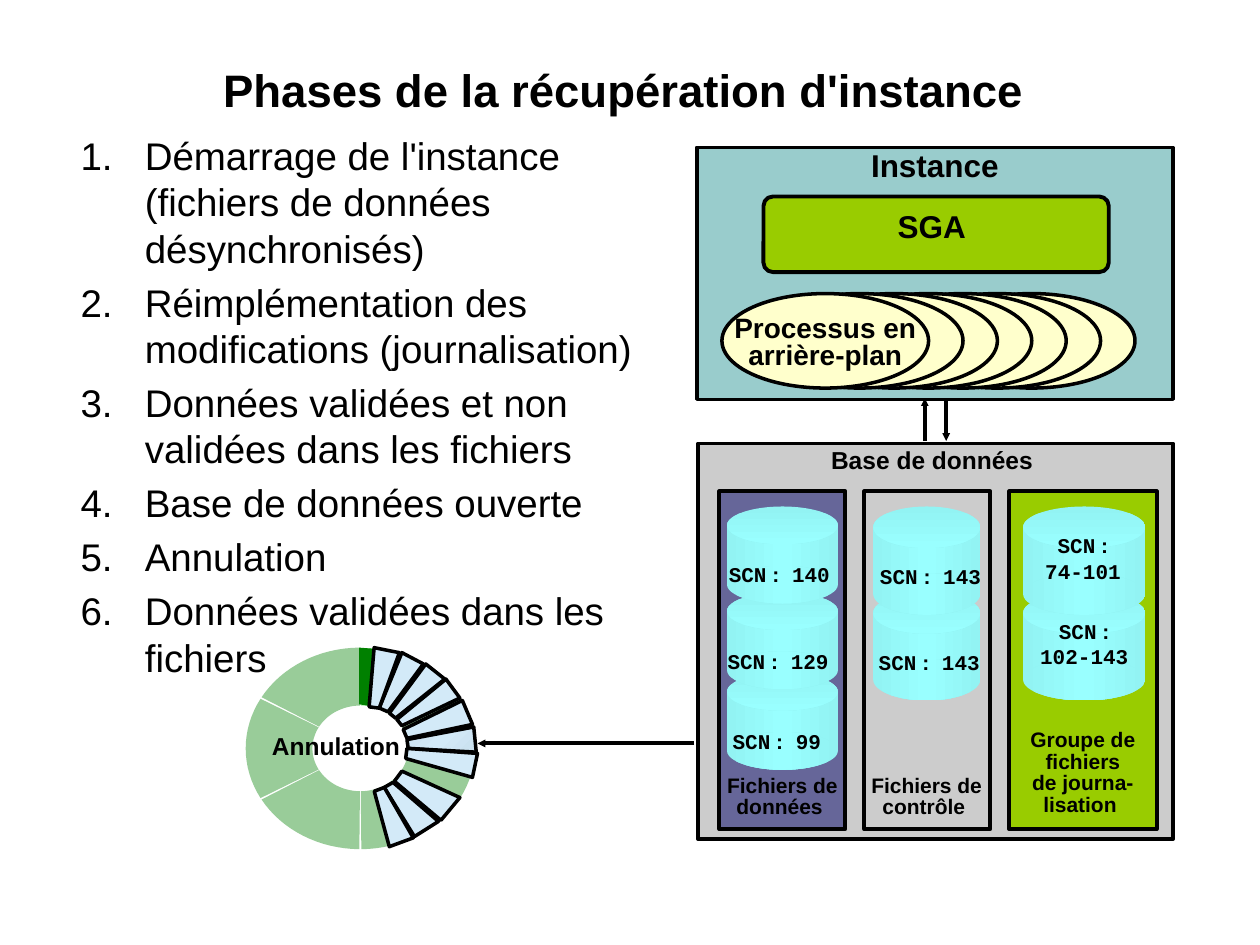
"""Build the slide on the phases of instance recovery."""
from copy import deepcopy
from math import cos, radians, sin

from pptx import Presentation
from pptx.dml.color import RGBColor
from pptx.enum.shapes import MSO_CONNECTOR, MSO_SHAPE as SHAPE
from pptx.enum.text import MSO_ANCHOR as ANCHOR, PP_ALIGN as ALIGN
from pptx.oxml.ns import qn
from pptx.util import Inches, Pt
from lxml.etree import SubElement

TITLE = "Phases de la récupération d'instance "
PHASES = [
    "Démarrage de l'instance (fichiers de données désynchronisés)",
    "Réimplémentation des modifications (journalisation)",
    "Données validées et non validées dans les fichiers",
    "Base de données ouverte",
    "Annulation",
    "Données validées dans les fichiers",
]
GREEN, LIME, GREY, CREAM, ICE = "99CC99", "99CC00", "CCCCCC", "FFFFCC", "D3EAF8"
SIDE_SHADE = ["92F3F3", "99FFFF", "92F3F3"]
LID_SHADE = ["92F3F3", "99FFFF"]
BLOCK_SHADE = ["C9DFED", ICE, "C9DFED"]
RING = dict(cx=2.86, cy=5.94, outer=(0.91, 0.8), inner=(0.38, 0.34))
SECTORS = [(180, GREEN), (120, GREEN), (60, GREEN), (0, GREEN),
           (300, ["C3F3C3", "CCFFCC"]), (240, GREEN)]
START_MARK = [(2.85, 5.14), (2.85, 5.59), (2.98, 5.61), (2.98, 5.15)]
BLOCKS = [
    ([(3.76, 5.77), (3.23, 5.87), (3.24, 5.94), (3.78, 5.97)], BLOCK_SHADE),
    ([(3.79, 5.98), (3.23, 5.94), (3.22, 6.02), (3.75, 6.17)], ICE),
    ([(3.65, 6.33), (3.19, 6.12), (3.13, 6.2), (3.5, 6.51)], ICE),
    ([(3.48, 6.52), (3.12, 6.21), (3.05, 6.25), (3.29, 6.64)], ICE),
    ([(3.28, 6.65), (3.05, 6.25), (2.97, 6.28), (3.09, 6.72)], ICE),
    ([(3.19, 5.18), (3.01, 5.62), (3.08, 5.65), (3.36, 5.27)], ICE),
    ([(3.38, 5.27), (3.09, 5.66), (3.14, 5.7), (3.53, 5.39)], ICE),
    ([(3.54, 5.39), (3.15, 5.71), (3.19, 5.76), (3.65, 5.54)], ICE),
    ([(3.67, 5.56), (3.2, 5.79), (3.23, 5.86), (3.75, 5.75)], ICE),
    ([(2.97, 5.14), (2.93, 5.61), (3.01, 5.62), (3.17, 5.18)], ICE),
]
ARROWS = [(5.51, 5.9, 3.79, 5.9), (7.51, 3.17, 7.51, 3.5), (7.34, 3.5, 7.34, 3.16)]
FILE_BOXES = [(8.01, 1.17, LIME), (6.86, 1, GREY), (5.71, 1, "666699")]
FILE_LABELS = [
    ("Fichiers de\ndonnées ", (5.57, 6.1, 1.28, 0.32), False),
    ("Groupe de fichiers\nde journa-lisation ", (7.93, 5.74, 1.33, 0.8), True),
    ("Fichiers de contrôle ", (6.8, 6.1, 1.11, 0.45), True),
]
DISK_STACKS = [
    (5.77, 0.88, 0.3, 0.47, [5.34, 4.7, 4.02]),
    (6.93, 0.85, 0.33, 0.53, [4.7, 4.02]),
    (8.12, 0.97, 0.33, 0.53, [4.7, 4.02]),
]
COLON = " :"
SCN_LABELS = [
    (" 99 ", (5.72, 5.73, 0.99, 0.3)),
    (" 129 ", (5.68, 5.1, 1.09, 0.3)),
    (" 140 ", (5.69, 4.41, 1.09, 0.3)),
    (" 143 ", (6.87, 5.11, 1.11, 0.33)),
    ("\n102-143", (8.15, 4.86, 0.91, 0.5)),
    (" 143 ", (6.88, 4.42, 1.11, 0.33)),
    ("\n74-101", (8.19, 4.18, 0.81, 0.5)),
]

prs = Presentation()
prs.slide_width, prs.slide_height = Inches(10), Inches(7.5)
s = prs.slides.add_slide(prs.slide_layouts[6])


def rgb(value):
    return RGBColor.from_string(value)


def paint(sp, fill, line=0, angle=0):
    sp.shadow.inherit = False
    if isinstance(fill, str):
        sp.fill.solid()
        sp.fill.fore_color.rgb = rgb(fill)
    else:
        sp.fill.gradient()
        sp.fill.gradient_angle = angle
        first = sp._element.spPr.find(".//" + qn("a:gs"))
        for _ in fill[2:]:
            first.addnext(deepcopy(first))
        for i, (stop, color) in enumerate(zip(sp.fill.gradient_stops, fill)):
            stop.color.rgb = rgb(color)
            stop.position = i / (len(fill) - 1)
    if line:
        sp.line.color.rgb = rgb("000000")
        sp.line.width = Pt(line)
    else:
        sp.line.fill.background()
    return sp


def shape(kind, at, fill, line=0, angle=0):
    return paint(s.shapes.add_shape(kind, *map(Inches, at)), fill, line, angle)


def polygon(points, fill, line=0):
    pts = [(Inches(x), Inches(y)) for x, y in points]
    fb = s.shapes.build_freeform(*pts[0])
    fb.add_line_segments(pts[1:], close=True)
    return paint(fb.convert_to_shape(), fill, line, 315)


def write(sp, *texts, size, font="Arial", bold=True, align=ALIGN.CENTER, wrap=False,
          inset=(0.1, 0.05), anchor=ANCHOR.TOP, spacing=None, before=0, hang=0):
    tf = sp.text_frame
    tf.word_wrap, tf.vertical_anchor = wrap, anchor
    tf.margin_left = tf.margin_right = Inches(inset[0])
    tf.margin_top = tf.margin_bottom = Inches(inset[1])
    for i, text in enumerate(texts):
        p = tf.add_paragraph() if i else tf.paragraphs[0]
        p.alignment, p.space_before = align, Pt(before)
        if spacing:
            p.line_spacing = spacing
        if hang:
            pPr = p._p.get_or_add_pPr()
            pPr.set("marL", str(Inches(hang)))
            pPr.set("indent", str(-Inches(hang)))
        for j, row in enumerate(text.split("\n")):
            if j:
                p.add_line_break()
            for part in filter(None, row.partition(COLON)):
                r = p.add_run()
                r.text = part
                r.font.name = "Arial" if part == COLON else font
                r.font.size, r.font.bold = Pt(size), bold
                r.font.color.rgb = rgb("000000")
        for br in p._p.findall(qn("a:br")):
            br.append(deepcopy(p.runs[0]._r.rPr))


def label(at, *texts, **fmt):
    write(s.shapes.add_textbox(*map(Inches, at)), *texts, **fmt)


def arc(start, end, radii):
    angles = [radians(start + (end - start) * i / 16) for i in range(17)]
    return [(RING["cx"] + radii[0] * cos(a), RING["cy"] + radii[1] * sin(a)) for a in angles]


def arrow(x1, y1, x2, y2):
    c = s.shapes.add_connector(MSO_CONNECTOR.STRAIGHT, *map(Inches, (x1, y1, x2, y2)))
    c.line.color.rgb, c.line.width = rgb("000000"), Pt(2.25)
    SubElement(c.line._get_or_add_ln(), qn("a:tailEnd"), type="triangle", w="sm", len="sm")
    SubElement(c._element.spPr, qn("a:effectLst"))


def disk(x, y, w, lid, h):
    shape(SHAPE.RECTANGLE, (x, y + lid / 2, w, h), SIDE_SHADE)
    shape(SHAPE.OVAL, (x, y, w, lid), LID_SHADE, angle=270)
    shape(SHAPE.OVAL, (x, y + h, w, lid), SIDE_SHADE)


label((0.67, 0.48, 8.66, 0.96), TITLE, size=26, wrap=True, inset=(0.01, 0.01), before=5)
label((0.63, 1.04, 4.88, 4.42), *[f"{n}.\t{t}" for n, t in enumerate(PHASES, 1)], size=22,
      bold=False, align=ALIGN.LEFT, wrap=True, inset=(0.01, 0.01), before=4.5, hang=0.51)

for mid, fill in SECTORS:
    start, end = mid - 29.5, mid + 29.5
    polygon(arc(start, end, RING["outer"]) + arc(end, start, RING["inner"]), fill)
polygon(START_MARK, "008000")
for points, fill in BLOCKS:
    polygon(points, fill, 2)
label((2.06, 5.75, 1.59, 0.32), "Annulation", size=14, align=ALIGN.LEFT, wrap=True)

write(shape(SHAPE.RECTANGLE, (5.53, 1.17, 3.78, 2), "99CCCC", 2), "Instance", size=18, spacing=0.8)
for i in reversed(range(7)):
    process = shape(SHAPE.OVAL, (5.73 + 0.273 * i, 2.33, 1.64, 0.75), CREAM, 2)
write(process, "Processus en\narrière-plan", size=16, spacing=0.8,
      inset=(0.06, 0.03), anchor=ANCHOR.BOTTOM)
sga = shape(SHAPE.ROUNDED_RECTANGLE, (6.06, 1.56, 2.74, 0.6), LIME, 2.25)
sga.adjustments[0] = 0.125
write(shape(SHAPE.RECTANGLE, (7.02, 1.59, 0.81, 0.4), LIME), "SGA ", size=18)

write(shape(SHAPE.RECTANGLE, (5.54, 3.52, 3.77, 3.14), GREY, 2.25), "Base de données ",
      size=14, spacing=0.85)
for x, w, fill in FILE_BOXES:
    shape(SHAPE.RECTANGLE, (x, 3.9, w, 2.68), fill, 2.25)
for x, w, lid, h, tops in DISK_STACKS:
    for y in tops:
        disk(x, y, w, lid, h)
for text, at, wrap in FILE_LABELS:
    label(at, text, size=12, wrap=wrap, inset=(0.11, 0.06), spacing=0.85)
for scn, at in SCN_LABELS:
    label(at, f"SCN{COLON}{scn}", size=12, font="Courier New", inset=(0, 0.05))
for ends in ARROWS:
    arrow(*ends)

prs.save("out.pptx")
